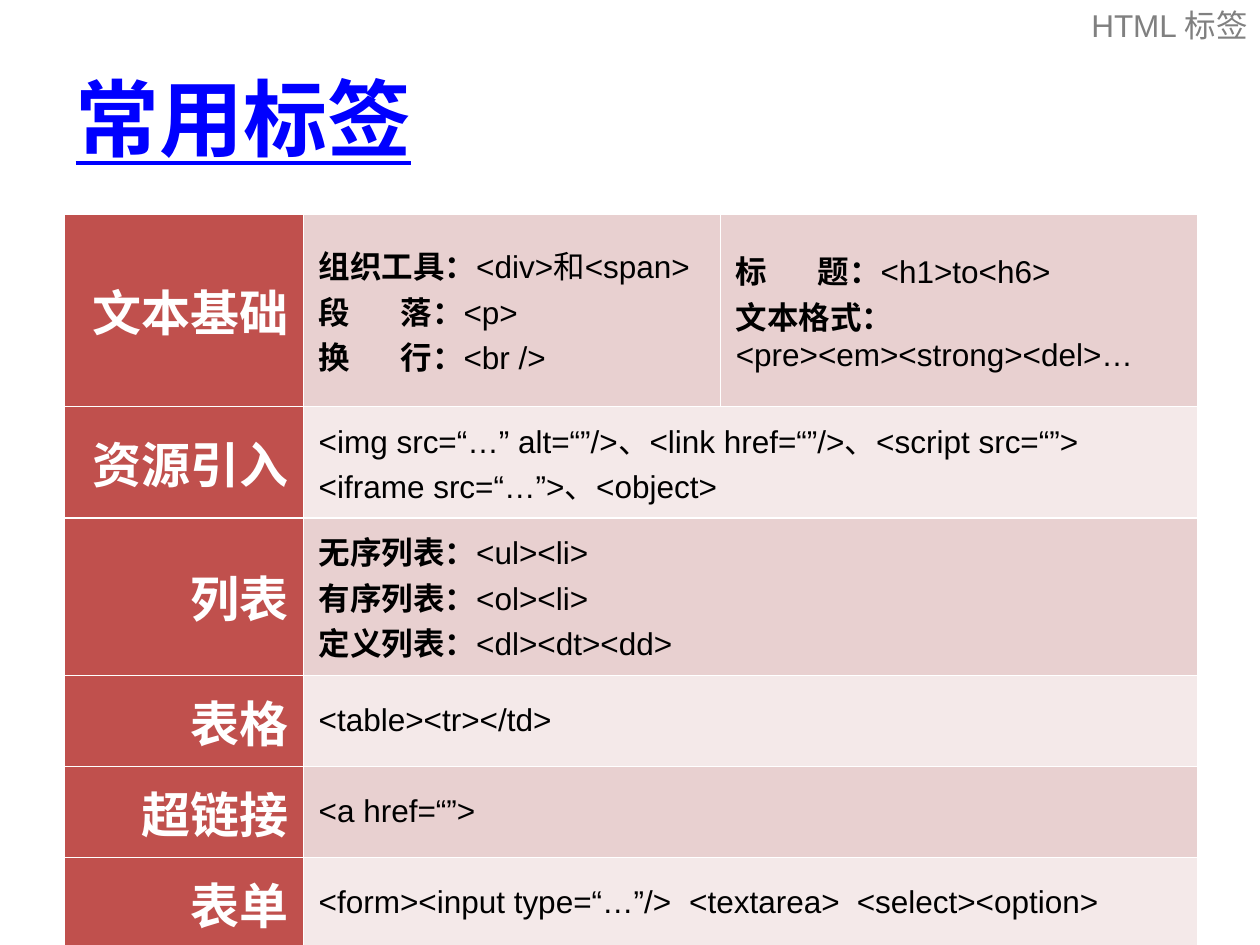
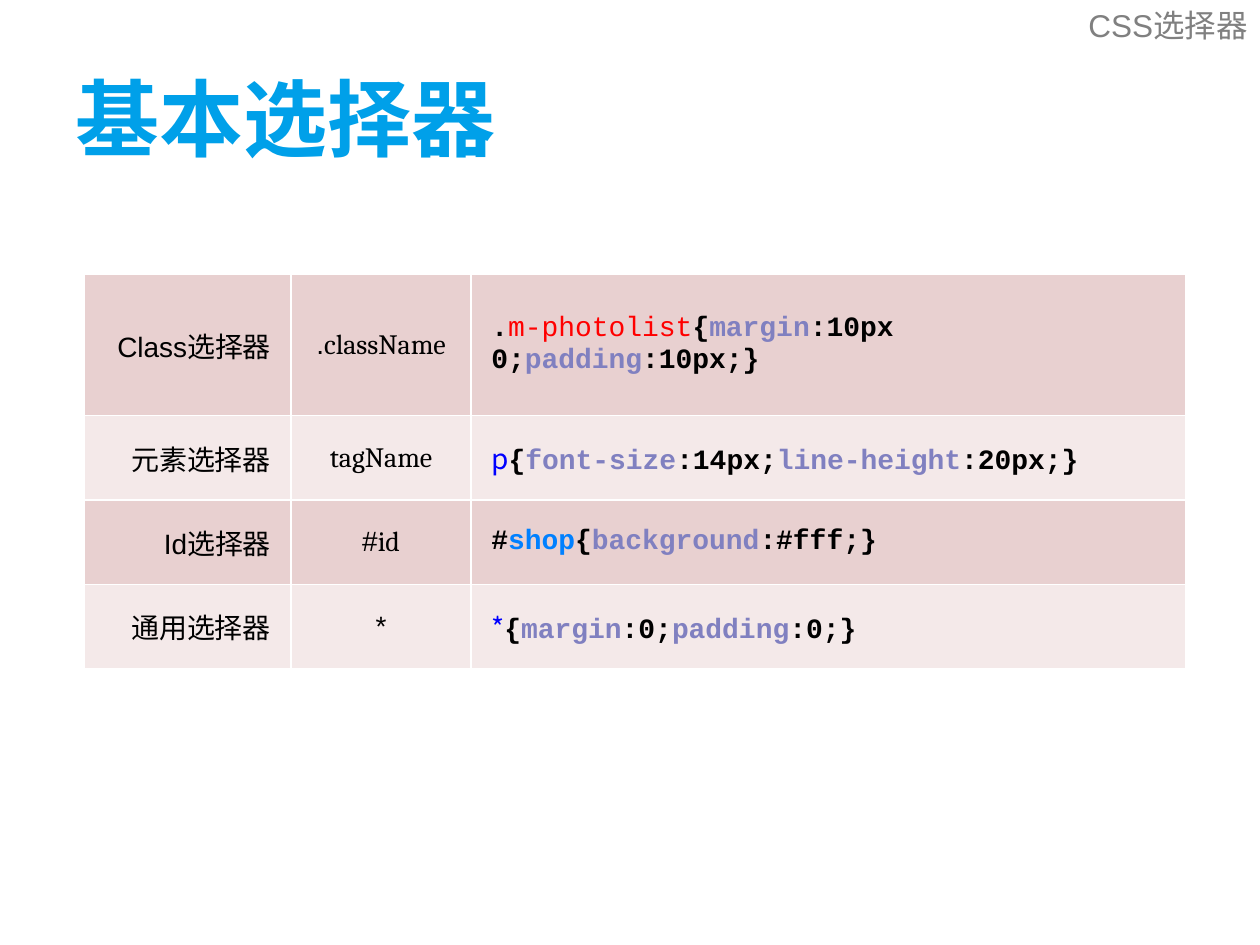
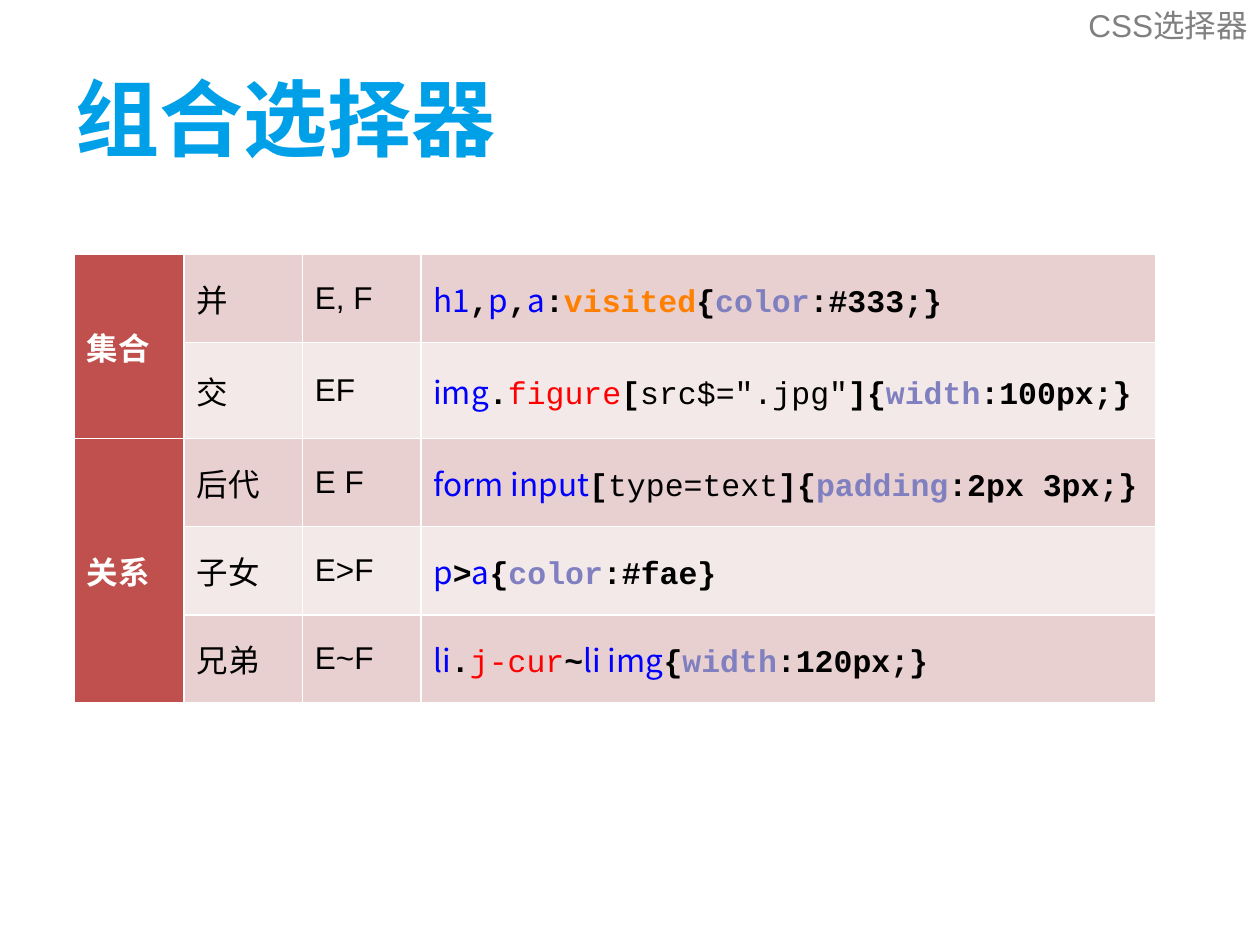
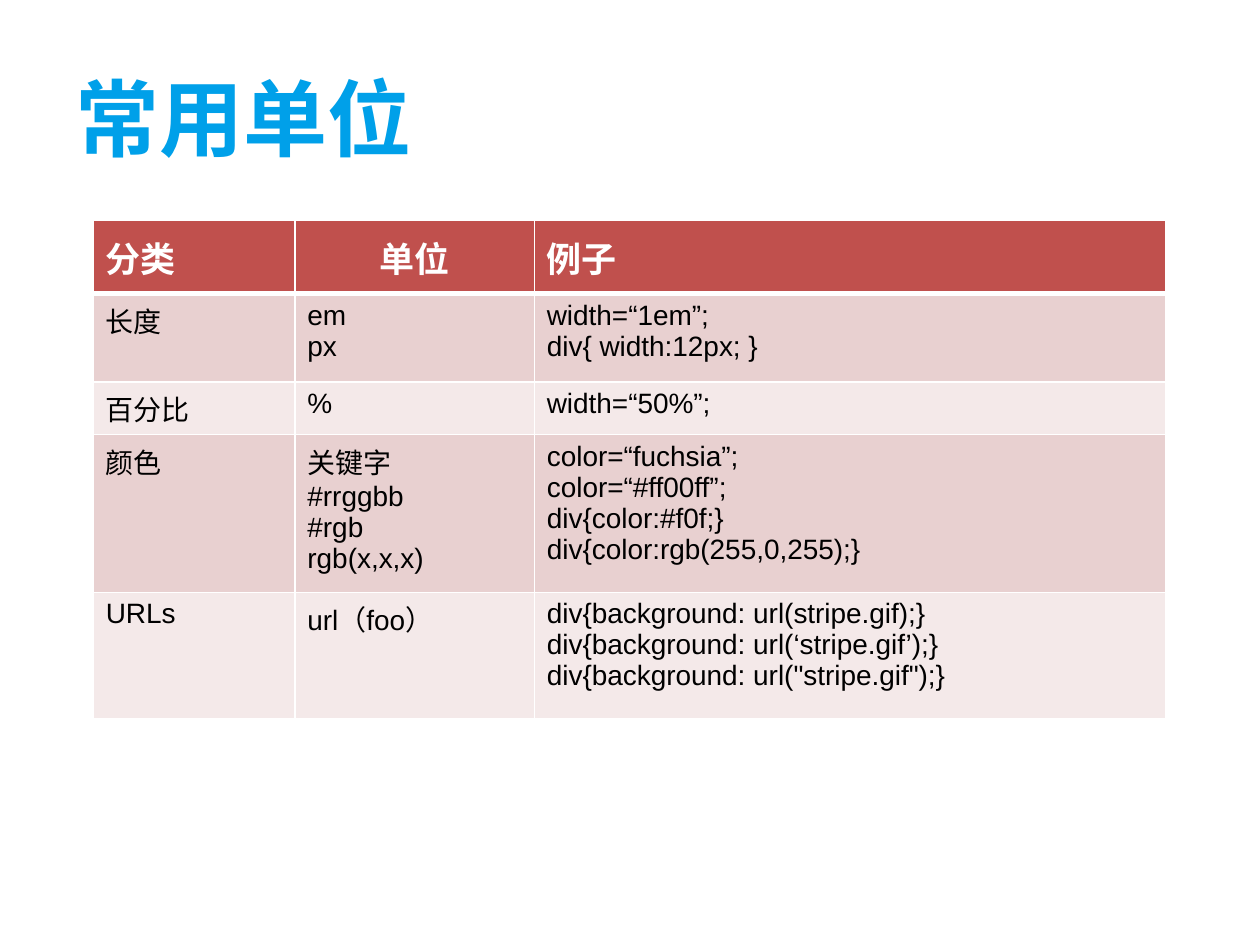
from dataclasses import dataclass

from lxml import etree
from pptx import Presentation, util as u
from pptx.dml.color import RGBColor
from pptx.enum import text
from pptx.oxml import ns


@dataclass(frozen=True)
class Theme:
    blue: str = "00A0E9"
    link: str = "0000FF"
    grey: str = "808080"
    accent: str = "C0504D"
    bands: tuple = ("E8D0D0", "F4E9E9")
    white: str = "FFFFFF"
    black: str = "000000"
    font: str = "Arial"
    serif: str = "Cambria"
    code: str = "Courier New"
    cjk: str = "Noto Sans CJK KR"
    title_size: int = 48
    section_size: int = 18
    rule: int = 1
    header_rule: int = 3


THEME = Theme()

# Run styles: font, colour, bold
STYLES = {
    "body": (THEME.font, THEME.black, False),
    "term": (THEME.font, THEME.black, True),
    "head": (THEME.font, THEME.white, True),
    "name": (THEME.serif, THEME.black, False),
    "code": (THEME.code, THEME.black, True),
    "attr": (THEME.code, THEME.black, False),
    "prop": (THEME.code, "8080C0", True),
    "class": (THEME.code, "FF0000", False),
    "id": (THEME.code, "0080FF", True),
    "pseudo": (THEME.code, "FF8000", True),
    "tag": (THEME.cjk, "0000FF", False),
}
ALIGN = {"l": text.PP_ALIGN.LEFT, "c": text.PP_ALIGN.CENTER, "r": text.PP_ALIGN.RIGHT}


def entry(term, tags):
    return [("term", term + "："), ("body", tags)]


# A cell is plain lines, or a list of paragraphs made of (style, text) runs.
TAGS = [
    ["文本基础",
     [entry("组织工具", "<div>和<span>"), entry("段\t落", "<p>"), entry("换\t行", "<br />")],
     [entry("标\t题", "<h1>to<h6>"), entry("文本格式", "<pre><em><strong><del>…")]],
    ["资源引入",
     "<img src=“…” alt=“”/>、<link href=“”/>、<script src=“”>\n<iframe src=“…”>、<object>", None],
    ["列表",
     [entry("无序列表", "<ul><li>"), entry("有序列表", "<ol><li>"),
      entry("定义列表", "<dl><dt><dd>")], None],
    ["表格", "<table><tr></td>", None],
    ["超链接", "<a href=“”>", None],
    ["表单", "<form><input type=“…”/>\t<textarea>\t<select><option>", None],
]

BASIC = [
    ["Class选择器", [[("body", "."), ("name", "className")]],
     [[("code", "."), ("class", "m-photolist"), ("code", "{"), ("prop", "margin"),
       ("code", ":10px 0;"), ("prop", "padding"), ("code", ":10px;}")]]],
    ["元素选择器", [[("name", "tagName")]],
     [[("tag", "p"), ("code", "{"), ("prop", "font-size"), ("code", ":14px;"),
       ("prop", "line-height"), ("code", ":20px;}")]]],
    ["Id选择器", [[("body", "#"), ("name", "id")]],
     [[("code", "#"), ("id", "shop"), ("code", "{"), ("prop", "background"),
       ("code", ":#fff;}")]]],
    ["通用选择器", "*",
     [[("tag", "*"), ("code", "{"), ("prop", "margin"), ("code", ":0;"),
       ("prop", "padding"), ("code", ":0;}")]]],
]

COMBINED = [
    ["集合", "并", "E, F",
     [[("tag", "h1"), ("code", ","), ("tag", "p"), ("code", ","), ("tag", "a"), ("code", ":"),
       ("pseudo", "visited"), ("code", "{"), ("prop", "color"), ("code", ":#333;}")]]],
    [None, "交", "EF",
     [[("tag", "img"), ("code", "."), ("class", "figure"), ("code", "["),
       ("attr", 'src$=".jpg"'), ("code", "]{"), ("prop", "width"), ("code", ":100px;}")]]],
    ["关系", "后代", "E F",
     [[("tag", "form input"), ("code", "["), ("attr", "type=text"), ("code", "]{"),
       ("prop", "padding"), ("code", ":2px 3px;}")]]],
    [None, "子女", "E>F",
     [[("tag", "p"), ("code", ">"), ("tag", "a"), ("code", "{"), ("prop", "color"),
       ("code", ":#fae}")]]],
    [None, "兄弟", "E~F",
     [[("tag", "li"), ("code", "."), ("class", "j-cur"), ("code", "~"), ("tag", "li img"),
       ("code", "{"), ("prop", "width"), ("code", ":120px;}")]]],
]

UNITS = [
    ["分类", "单位", "例子"],
    ["长度", "em\npx", "width=“1em”;\ndiv{ width:12px; }"],
    ["百分比", "%", "width=“50%”;"],
    ["颜色", "关键字\n#rrggbb\n#rgb\nrgb(x,x,x)",
     "color=“fuchsia”;\ncolor=“#ff00ff”;\ndiv{color:#f0f;}\ndiv{color:rgb(255,0,255);}"],
    ["URLs", "url（foo）",
     "div{background: url(stripe.gif);}\ndiv{background: url(‘stripe.gif’);}\n"
     "div{background: url(\"stripe.gif\");}"],
]


@dataclass(frozen=True)
class Grid:
    """Table layout in inches; merges are pairs of (row, column) corners."""
    cells: list
    at: tuple
    cols: tuple
    rows: tuple
    size: int
    head_size: int = 0
    head_rows: int = 0
    head_cols: int = 0
    align: str = "lll"
    head_align: str = ""
    inset: tuple = (0.1, 0.05)
    anchor: text.MSO_ANCHOR = text.MSO_ANCHOR.MIDDLE
    merges: tuple = ()
    tabs: tuple = ()


SLIDES = [
    ("常用标签", "HTML 标签", True,
     Grid(TAGS, (0.51, 1.7), (1.9, 3.31, 3.79), (1.52, 0.88, 1.25, 0.72, 0.71, 0.71),
          size=18, head_size=28, head_cols=1, align="rll", inset=(0.12, 0.08),
          merges=tuple(((row, 1), (row, 2)) for row in range(1, len(TAGS))),
          tabs=(0.65, 2.94, 4.27))),
    ("基本选择器", "CSS选择器", False,
     Grid(BASIC, (0.67, 2.18), (1.64, 1.43, 5.67), (1.12, 0.67, 0.67, 0.67),
          size=16, align="rcl", inset=(0.16, 0.08))),
    ("组合选择器", "CSS选择器", False,
     Grid(COMBINED, (0.59, 2.02), (0.87, 0.94, 0.94, 5.83), (0.7, 0.76, 0.7, 0.7, 0.7),
          size=18, head_size=18, head_cols=1, align="llll",
          merges=(((0, 0), (1, 0)), ((2, 0), (4, 0))))),
    ("常用单位", None, False,
     Grid(UNITS, (0.74, 1.75), (1.6, 1.9, 5.01), (0.58, 0.7, 0.42, 1.25, 1),
          size=16, head_size=20, head_rows=1, head_align="lcl",
          anchor=text.MSO_ANCHOR.TOP)),
]


def add_run(paragraph, words, size, font, color, bold):
    run = paragraph.add_run()
    run.text = words
    run.font.size = u.Pt(size)
    run.font.name = font
    run.font.bold = bold
    run.font.color.rgb = RGBColor.from_string(color)
    return run


def add_tabs(paragraph, stops):
    tab_list = etree.SubElement(paragraph._p.get_or_add_pPr(), ns.qn("a:tabLst"))
    for stop in stops:
        etree.SubElement(tab_list, ns.qn("a:tab"), pos=str(u.Inches(stop)), algn="l")


def set_borders(cell, bottom):
    properties = cell._tc.get_or_add_tcPr()
    for place, side in enumerate("LRTB"):
        width = bottom if side == "B" else THEME.rule
        line = etree.Element(ns.qn(f"a:ln{side}"), w=str(u.Pt(width)))
        fill = etree.SubElement(line, ns.qn("a:solidFill"))
        etree.SubElement(fill, ns.qn("a:srgbClr"), val=THEME.white)
        properties.insert(place, line)


def write_cell(cell, content, grid, style, size, align):
    if isinstance(content, str):
        content = [[(style, line)] for line in content.split("\n")]
    frame = cell.text_frame
    for index, runs in enumerate(content):
        paragraph = frame.add_paragraph() if index else frame.paragraphs[0]
        paragraph.alignment = ALIGN[align]
        if any("\t" in words for _, words in runs):
            add_tabs(paragraph, grid.tabs)
        for run_style, words in runs:
            add_run(paragraph, words, size, *STYLES[run_style])


def add_grid(slide, grid):
    box = [u.Inches(n) for n in (*grid.at, sum(grid.cols), sum(grid.rows))]
    table = slide.shapes.add_table(len(grid.rows), len(grid.cols), *box).table
    table.first_row = table.horz_banding = False
    for column, width in zip(table.columns, grid.cols):
        column.width = u.Inches(width)
    for row, height in zip(table.rows, grid.rows):
        row.height = u.Inches(height)
    for start, end in grid.merges:
        table.cell(*start).merge(table.cell(*end))

    for r, row in enumerate(grid.cells):
        in_header = r < grid.head_rows
        for c, content in enumerate(row):
            cell = table.cell(r, c)
            is_head = in_header or c < grid.head_cols
            band = THEME.bands[(r - grid.head_rows) % 2]
            cell.fill.solid()
            cell.fill.fore_color.rgb = RGBColor.from_string(THEME.accent if is_head else band)
            set_borders(cell, THEME.header_rule if in_header else THEME.rule)
            cell.margin_left = cell.margin_right = u.Inches(grid.inset[0])
            cell.margin_top = cell.margin_bottom = u.Inches(grid.inset[1])
            cell.vertical_anchor = text.MSO_ANCHOR.MIDDLE if is_head else grid.anchor
            if content is not None:
                write_cell(cell, content, grid,
                           "head" if is_head else "body",
                           grid.head_size if is_head else grid.size,
                           (grid.head_align if in_header else grid.align)[c])


def add_title(slide, words, linked):
    title = slide.shapes.title
    title.text_frame.vertical_anchor = text.MSO_ANCHOR.MIDDLE
    paragraph = title.text_frame.paragraphs[0]
    paragraph.alignment = ALIGN["l"]
    run = add_run(paragraph, words, THEME.title_size, THEME.font,
                  THEME.link if linked else THEME.blue, True)
    if linked:
        run.font.underline = True


def add_section(slide, words, slide_width):
    width = u.Inches(2.16)
    frame = slide.shapes.add_textbox(slide_width - width, 0, width, u.Inches(0.4)).text_frame
    frame.word_wrap = True
    frame.auto_size = text.MSO_AUTO_SIZE.SHAPE_TO_FIT_TEXT
    paragraph = frame.paragraphs[0]
    paragraph.alignment = ALIGN["r"]
    add_run(paragraph, words, THEME.section_size, THEME.font, THEME.grey, False)


def main():
    deck = Presentation()
    deck.slide_width, deck.slide_height = u.Inches(10), u.Inches(7.5)
    layout = deck.slide_layouts.get_by_name("Title Only")
    heading = layout.placeholders[0]
    heading.left, heading.top = u.Inches(0.5), u.Inches(0.3)
    heading.width, heading.height = u.Inches(9), u.Inches(1.25)

    for title, section, linked, grid in SLIDES:
        slide = deck.slides.add_slide(layout)
        add_title(slide, title, linked)
        add_grid(slide, grid)
        if section:
            add_section(slide, section, deck.slide_width)
    deck.save("out.pptx")


if __name__ == "__main__":
    main()
